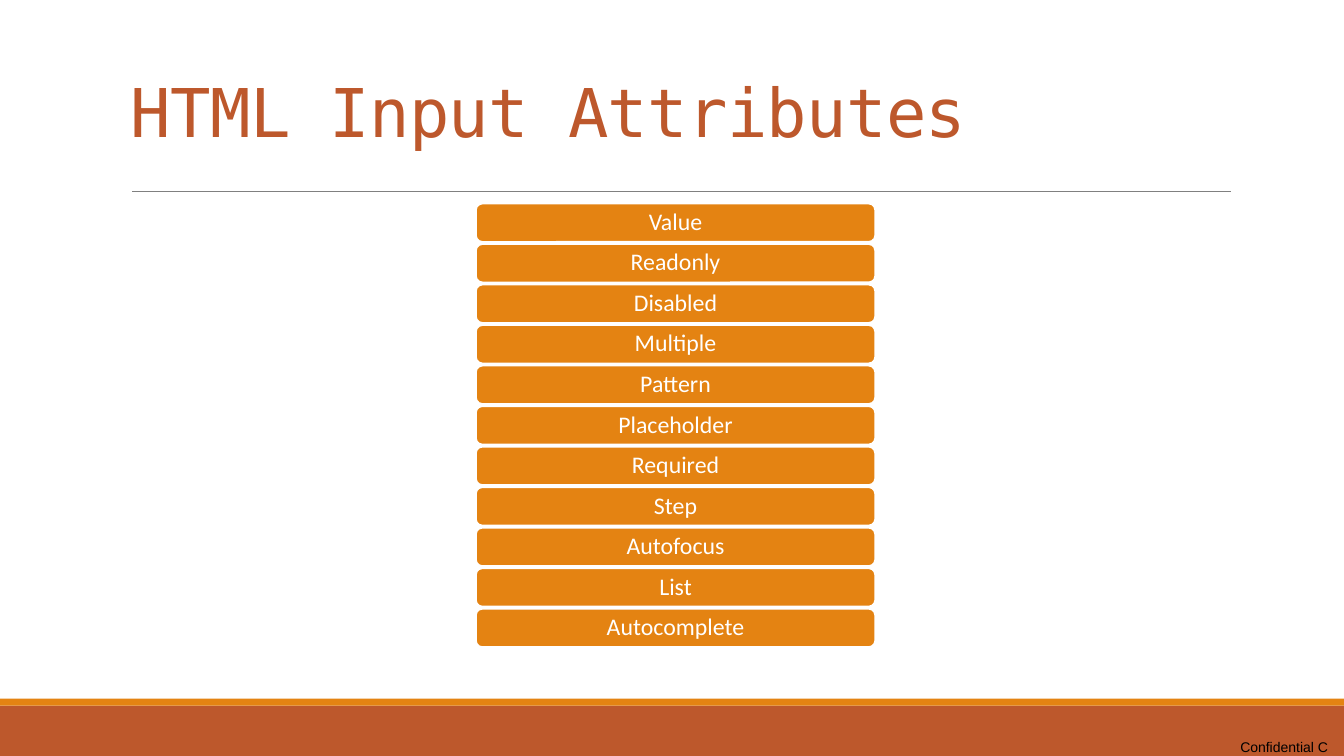
from dataclasses import dataclass

from lxml.etree import SubElement
from pptx import Presentation
from pptx.dml.color import RGBColor
from pptx.enum.shapes import MSO_CONNECTOR, MSO_SHAPE
from pptx.enum.text import MSO_ANCHOR, PP_ALIGN
from pptx.oxml.ns import qn
from pptx.util import Inches, Pt

COLOURS = {
    "rust": "BD582C",
    "orange": "E48312",
    "grey": "808080",
    "white": "FFFFFF",
    "black": "000000",
}
ATTRIBUTES = (
    "Value", "Readonly", "Disabled", "Multiple", "Pattern", "Placeholder",
    "Required", "Step", "Autofocus", "List", "Autocomplete",
)
BAR_LEFT, BAR_TOP, BAR_WIDTH, BAR_HEIGHT, BAR_PITCH = 35.41, 26.93, 29.71, 5.07, 5.36

deck = Presentation()
deck.slide_width, deck.slide_height = Inches(13.33), Inches(7.5)
page = deck.slides.add_slide(deck.slide_layouts[6])


@dataclass(frozen=True)
class Area:
    left: float
    top: float
    width: float
    height: float

    def lengths(self) -> tuple[int, int, int, int]:
        return (across(self.left), down(self.top), across(self.width), down(self.height))


@dataclass(frozen=True)
class Style:
    font: str
    size: float
    colour: str
    align: PP_ALIGN
    anchor: MSO_ANCHOR
    spacing: float
    margins: tuple[float, float, float, float]
    wrap: bool = True


TITLE = Style("DejaVu Sans Mono", 48, "rust", PP_ALIGN.LEFT, MSO_ANCHOR.BOTTOM,
              0.85, (0.1, 0.05, 0.1, 0.82))
LABEL = Style("Calibri", 17, "white", PP_ALIGN.CENTER, MSO_ANCHOR.MIDDLE,
              0.9, (0.07, 0.04, 0.07, 0.04))
FOOTER = Style("Arial", 10, "black", PP_ALIGN.RIGHT, MSO_ANCHOR.TOP,
               1.0, (0, 0, 0, 0), False)


def across(percent: float) -> int:
    return round(deck.slide_width * percent / 100)


def down(percent: float) -> int:
    return round(deck.slide_height * percent / 100)


def colour(name: str) -> RGBColor:
    return RGBColor.from_string(COLOURS[name])


def assign(target, values: dict) -> None:
    for name, value in values.items():
        setattr(target, name, value)


def write(box, words: str, style: Style):
    frame = box.text_frame
    sides = ("margin_left", "margin_top", "margin_right", "margin_bottom")
    assign(frame, dict(zip(sides, map(Inches, style.margins))))
    assign(frame, {"word_wrap": style.wrap, "vertical_anchor": style.anchor})
    para = frame.paragraphs[0]
    assign(para, {"alignment": style.align, "line_spacing": style.spacing})
    span = para.add_run()
    span.text = words
    assign(span.font, {"name": style.font, "size": Pt(style.size)})
    span.font.color.rgb = colour(style.colour)
    return span


def add_block(kind: MSO_SHAPE, area: Area, fill: str, outline: str | None = None):
    block = page.shapes.add_shape(kind, *area.lengths())
    block.shadow.inherit = False
    block.fill.solid()
    block.fill.fore_color.rgb = colour(fill)
    if outline:
        block.line.color.rgb = colour(outline)
        block.line.width = Pt(1.25)
    else:
        block.line.fill.background()
    return block


def add_words(area: Area, words: str, style: Style):
    return write(page.shapes.add_textbox(*area.lengths()), words, style)


def add_rule(left: float, right: float, height: float) -> None:
    rule = page.shapes.add_connector(
        MSO_CONNECTOR.STRAIGHT, across(left), down(height), across(right), down(height))
    rule.line.color.rgb = colour("grey")
    rule.line.width = Pt(0.5)
    SubElement(rule.line._get_or_add_ln().getparent(), qn("a:effectLst"))


add_block(MSO_SHAPE.RECTANGLE, Area(0, 93.33, 100, 6.67), "rust")
add_block(MSO_SHAPE.RECTANGLE, Area(0, 92.4, 100, 0.93), "orange")
add_rule(9.83, 91.6, 25.33)
add_words(Area(91.97, 97.73, 6.83, 2.27), "Confidential C", FOOTER)
heading = add_words(Area(9, 9.73, 82.52, 21.2), "HTML\u00a0Input Attributes", TITLE)
heading.font._element.set("spc", "-50")

for row, attribute in enumerate(ATTRIBUTES):
    bar_area = Area(BAR_LEFT, BAR_TOP + row * BAR_PITCH, BAR_WIDTH, BAR_HEIGHT)
    bar = add_block(MSO_SHAPE.ROUNDED_RECTANGLE, bar_area, "orange", "white")
    write(bar, attribute, LABEL)

deck.save("out.pptx")
